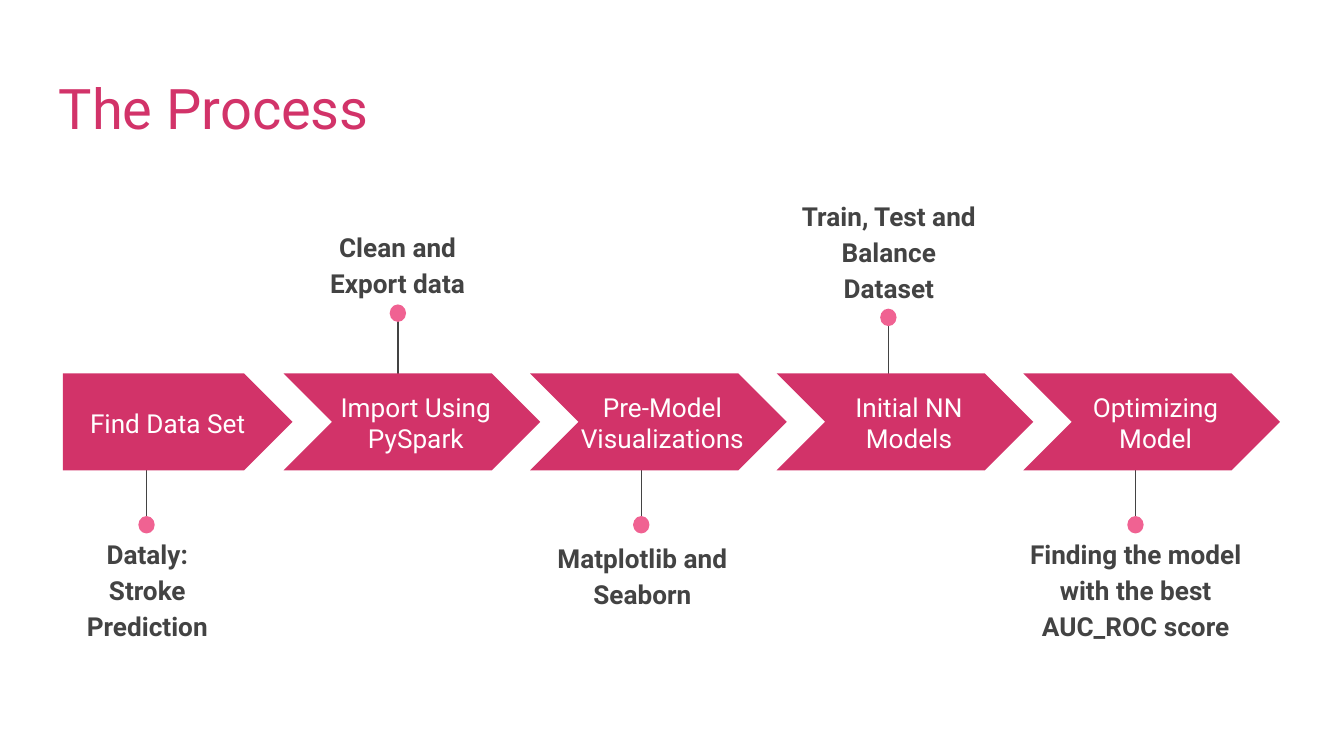
"""Builds the slide "The Process": five arrow steps with pinned labels."""
from lxml.etree import SubElement
from pptx import Presentation
from pptx.dml.color import RGBColor
from pptx.enum.shapes import MSO_CONNECTOR, MSO_SHAPE as Preset
from pptx.enum.text import MSO_ANCHOR as Anchor, PP_ALIGN as Align
from pptx.oxml.ns import qn
from pptx.util import Cm, Pt

TITLE = "The Process"
STEPS = [
    {"step": "Find Data Set", "label": "Dataly: Stroke Prediction",
     "pin": (2.77, 9.92), "box": (1.07, 9.83, 3.43, 2.69)},
    {"step": "Import Using PySpark", "label": "Clean and Export data",
     "pin": (7.52, 5.92), "box": (5.46, 4.04, 4.11, 1.93)},
    {"step": "Pre-Model Visualizations", "label": "Matplotlib and Seaborn",
     "pin": (12.12, 9.92), "box": (10.03, 9.91, 4.22, 1.93)},
    {"step": "Initial NN Models", "label": "Train, Test and Balance Dataset",
     "pin": (16.79, 6), "box": (14.88, 3.45, 3.84, 2.06)},
    {"step": "Optimizing Model", "label": "Finding the model with the best AUC_ROC score",
     "pin": (21.46, 9.92), "box": (19.13, 9.83, 4.67, 2.06)},
]
PINK, ROSE, GRAY, WHITE = "D23369", "F06292", "434343", "FFFFFF"
ARROW_TOP, ARROW_HEIGHT = 7.06, 1.83
FIRST_LEFT, FIRST_WIDTH = 1.19, 4.34
CHEVRON_LEFT, CHEVRON_WIDTH, PITCH = 5.36, 4.85, 4.66
STEM, DOT_WIDTH, DOT_HEIGHT = 1.66, 0.31, 0.33


def color(value):
    return RGBColor.from_string(value)


def add_solid(slide, preset, box, fill):
    solid = slide.shapes.add_shape(preset, *map(Cm, box))
    solid.shadow.inherit = False
    solid.fill.solid()
    solid.fill.fore_color.rgb = color(fill)
    solid.line.fill.background()


def add_words(slide, words, box, size, ink, align=Align.CENTER,
              anchor=Anchor.TOP, bold=False, spacing=1.0):
    frame = slide.shapes.add_textbox(*map(Cm, box)).text_frame
    frame.word_wrap = True
    frame.vertical_anchor = anchor
    frame.margin_left = frame.margin_right = Cm(0.25)
    frame.margin_top = frame.margin_bottom = Cm(0.25)
    paragraph = frame.paragraphs[0]
    paragraph.text = words
    paragraph.alignment = align
    paragraph.line_spacing = spacing
    paragraph.font.name = "Roboto"
    paragraph.font.size = Pt(size)
    paragraph.font.bold = bold
    paragraph.font.color.rgb = color(ink)


def add_pin(slide, x, y):
    toward_arrow = STEM if y < ARROW_TOP else -STEM
    stem = slide.shapes.add_connector(
        MSO_CONNECTOR.STRAIGHT, Cm(x), Cm(y), Cm(x), Cm(y + toward_arrow))
    stem.line.color.rgb = color(GRAY)
    stem.line.width = Pt(0.75)
    SubElement(stem._element.spPr, qn("a:effectLst"))
    dot = (x - DOT_WIDTH / 2, y - DOT_HEIGHT / 2, DOT_WIDTH, DOT_HEIGHT)
    add_solid(slide, Preset.OVAL, dot, ROSE)


def add_step(slide, index, step):
    if index == 0:
        preset, left, width, indent = Preset.PENTAGON, FIRST_LEFT, FIRST_WIDTH, 0
    else:
        preset, width, indent = Preset.CHEVRON, CHEVRON_WIDTH, 0.52
        left = CHEVRON_LEFT + (index - 1) * PITCH
    add_solid(slide, preset, (left, ARROW_TOP, width, ARROW_HEIGHT), PINK)
    add_words(slide, step, (left + indent, 7.52, 3.96, 0.94), 14, WHITE,
              anchor=Anchor.MIDDLE)


def main():
    deck = Presentation()
    deck.slide_width, deck.slide_height = Cm(25.4), Cm(14.29)
    slide = deck.slides.add_slide(deck.slide_layouts[6])
    for item in STEPS:
        add_pin(slide, *item["pin"])
    add_words(slide, TITLE, (0.86, 1.14, 23.67, 1.68), 30, PINK, align=Align.LEFT)
    for index, item in enumerate(STEPS):
        add_step(slide, index, item["step"])
        add_words(slide, item["label"], item["box"], 14, GRAY, bold=True, spacing=1.15)
    deck.save("out.pptx")


if __name__ == "__main__":
    main()
